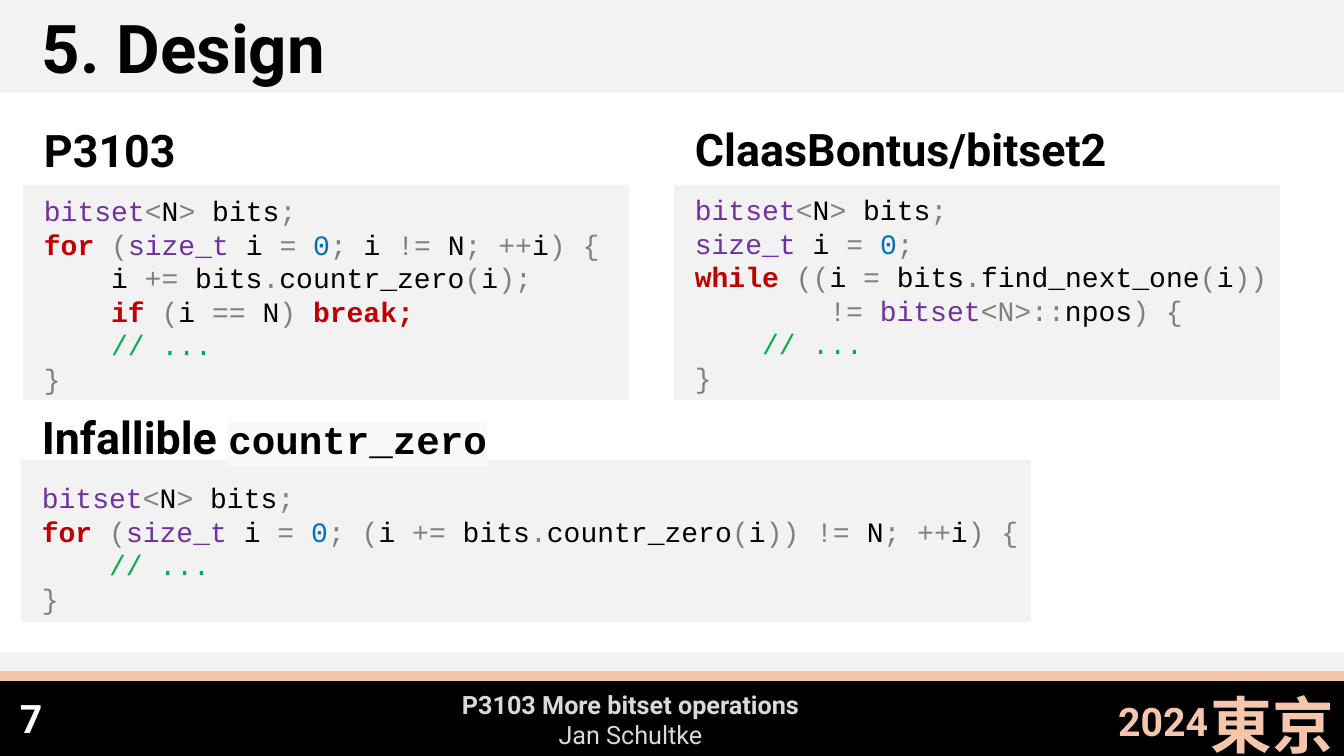
from itertools import groupby

from lxml.etree import SubElement
from pptx import Presentation
from pptx.dml.color import RGBColor
from pptx.enum.shapes import MSO_SHAPE
from pptx.enum.text import MSO_ANCHOR, MSO_AUTO_SIZE, PP_ALIGN
from pptx.oxml.ns import qn
from pptx.util import Emu, Pt

SLIDE_WIDTH, SLIDE_HEIGHT = 1344, 756
EMU_PER_PX = 12192000 / SLIDE_WIDTH
CODE_SIZE = 20
CODE_CHARACTER_WIDTH = 0.6 * CODE_SIZE

BLACK, WHITE, GRAY = "000000", "FFFFFF", "808080"
PANEL, PEACH, SILVER = "F2F2F2", "F6C6AC", "D9D9D9"
RED, PURPLE, BLUE, GREEN = "C00000", "7030A0", "0070C0", "00B050"

WORD_COLORS = {
    "for": RED, "if": RED, "while": RED,
    "bitset": PURPLE, "size_t": PURPLE, "0": BLUE,
}
# Fragments that keep one colour throughout.
WHOLE_FRAGMENTS = {"// ...": GREEN, "<N>::": GRAY, "break;": RED}

P3103_CODE = """\
bitset<N> bits;
for (size_t i = 0; i != N; ++i) {
    i += bits.countr_zero(i);
    if (i == N) break;
    // ...
}"""
BITSET2_CODE = """\
bitset<N> bits;
size_t i = 0;
while ((i = bits.find_next_one(i))
        != bitset<N>::npos) {
    // ...
}"""
INFALLIBLE_CODE = """\
bitset<N> bits;
for (size_t i = 0; (i += bits.countr_zero(i)) != N; ++i) {
    // ...
}"""


def px(length):
    return Emu(round(length * EMU_PER_PX))


def rgb(color):
    return RGBColor.from_string(color)


def add_bar(slide, left, top, width, height, color):
    bar = slide.shapes.add_shape(
        MSO_SHAPE.RECTANGLE, px(left), px(top), px(width), px(height))
    bar.shadow.inherit = False
    bar.fill.solid()
    bar.fill.fore_color.rgb = rgb(color)
    bar.line.fill.background()


def add_text_frame(slide, left, top, width, height, **frame_format):
    box = slide.shapes.add_textbox(px(left), px(top), px(width), px(height))
    frame_format = {"word_wrap": True, **frame_format}
    for name, value in frame_format.items():
        setattr(box.text_frame, name, value)
    return box.text_frame


def add_run(paragraph, text, size, color, bold=True, font_name="Roboto"):
    run = paragraph.add_run()
    run.text = text
    font_format = {"size": Pt(size), "bold": bold, "name": font_name}
    for name, value in font_format.items():
        setattr(run.font, name, value)
    run.font.color.rgb = rgb(color)
    return run


def highlight(run, color):
    properties = run.font._element
    mark = SubElement(properties, qn("a:highlight"))
    SubElement(mark, qn("a:srgbClr")).set("val", color)
    properties.find(qn("a:latin")).addprevious(mark)


def add_label(slide, place, text, size, color, alignment, **frame_format):
    frame = add_text_frame(slide, *place, **frame_format)
    paragraph = frame.paragraphs[0]
    paragraph.alignment = alignment
    add_run(paragraph, text, size, color)


def is_word_character(character):
    return character.isalnum() or character == "_"


def code_tokens(line):
    """Yield the text and colour of each piece of a code line."""
    for fragment, color in WHOLE_FRAGMENTS.items():
        before, found, after = line.partition(fragment)
        if found:
            yield from code_tokens(before)
            yield found, color
            yield from code_tokens(after)
            return
    for is_word, characters in groupby(line, is_word_character):
        text = "".join(characters)
        yield text, WORD_COLORS.get(text, BLACK) if is_word else GRAY


def add_code_line(frame, line):
    paragraph = frame.add_paragraph()
    code = line.lstrip()
    indent = Pt(CODE_CHARACTER_WIDTH * (len(line) - len(code)))
    properties = paragraph._p.get_or_add_pPr()
    properties.set("marL", str(indent))
    properties.set("indent", "0")
    for text, color in code_tokens(code):
        add_run(paragraph, text, CODE_SIZE, color, color == RED, "Courier New")
    return paragraph


def add_code_section(slide, panel, text_place, heading, code, heading_code=""):
    """Draw a panel with a heading above it and coloured code on it."""
    add_bar(slide, *panel, PANEL)
    frame = add_text_frame(slide, *text_place)
    title = frame.paragraphs[0]
    add_run(title, heading, 32, BLACK)
    if heading_code:
        run = add_run(title, heading_code, 28, BLACK, font_name="Courier New")
        highlight(run, "F9F9F9")
    lines = [add_code_line(frame, line) for line in code.splitlines()]
    lines[0].line_spacing = 1.5


def add_bands(slide):
    for top, height, color in [
        (0, 93, PANEL), (681, 75, BLACK), (671, 10, PEACH), (653, 18, PANEL),
    ]:
        add_bar(slide, 0, top, SLIDE_WIDTH, height, color)


def add_footer(slide):
    grow = {"auto_size": MSO_AUTO_SIZE.SHAPE_TO_FIT_TEXT}
    middle = {"vertical_anchor": MSO_ANCHOR.MIDDLE}
    add_label(slide, (1195, 681, 149, 85), "東京", 44, PEACH,
              PP_ALIGN.RIGHT, **grow, **middle)
    add_label(slide, (1058, 692, 160, 58), "2024", 28, PEACH,
              PP_ALIGN.RIGHT, **grow)
    add_label(slide, (10, 698, 45, 40), "7", 28, WHITE,
              PP_ALIGN.LEFT, **middle)
    frame = add_text_frame(slide, 147, 684, 967, 72)
    author = frame.add_paragraph()
    for paragraph, text, bold in [
        (frame.paragraphs[0], "P3103 More bitset operations", True),
        (author, "Jan Schultke", False),
    ]:
        paragraph.alignment = PP_ALIGN.CENTER
        add_run(paragraph, text, 18, SILVER, bold)


def main():
    presentation = Presentation()
    presentation.slide_width = px(SLIDE_WIDTH)
    presentation.slide_height = px(SLIDE_HEIGHT)
    slide = presentation.slides.add_slide(presentation.slide_layouts[6])

    add_bands(slide)
    add_footer(slide)
    add_label(slide, (32, 1, 1163, 92), "5. Design", 48, BLACK, PP_ALIGN.LEFT)
    add_code_section(slide, (23, 185, 606, 215), (34, 118, 624, 285),
                     "P3103", P3103_CODE)
    add_code_section(slide, (21, 460, 1010, 162), (32, 405, 1010, 217),
                     "Infallible ", INFALLIBLE_CODE, "countr_zero")
    add_code_section(slide, (674, 185, 606, 215), (685, 117, 624, 285),
                     "ClaasBontus/bitset2", BITSET2_CODE)
    presentation.save("out.pptx")


if __name__ == "__main__":
    main()
